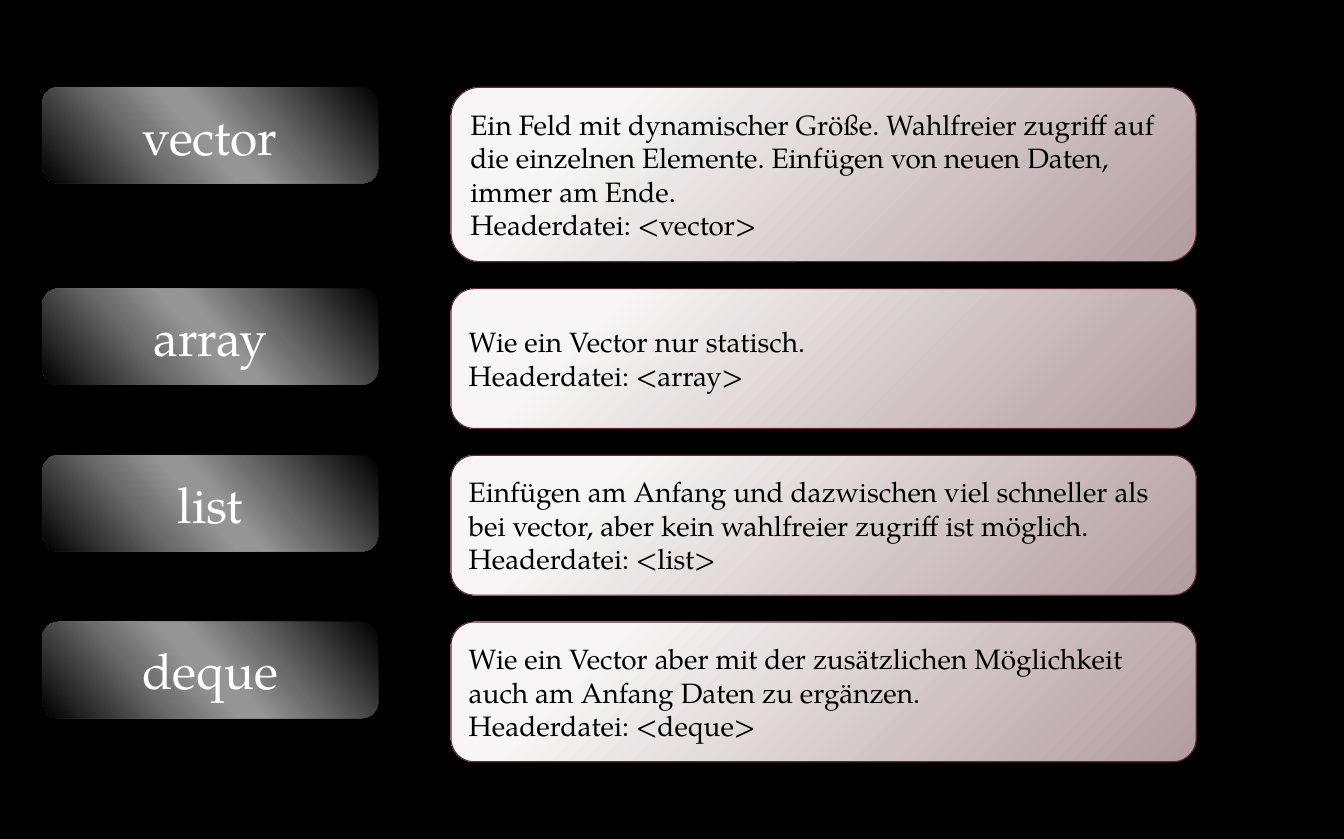
from dataclasses import dataclass

from pptx import Presentation
from pptx import util as u
from pptx.dml.color import RGBColor
from pptx.enum import shapes, text
from pptx.oxml import parse_xml
from pptx.oxml.ns import nsdecls

PX = 9144


@dataclass(frozen=True)
class Theme:
    """Colours, gradients and type sizes of the slide."""
    font: str = "TeX Gyre Pagella"
    background: str = "000000"
    name_color: str = "FFFFFF"
    name_size: int = 32
    name_stops: tuple = ((0, "000000"), (33, "6B6B6B"), (47, "959595"),
                         (53, "959595"), (68, "6C6C6C"), (100, "000000"))
    name_shade: str = '<a:lin ang="8340000" scaled="0"/>'
    card_color: str = "000000"
    card_size: int = 18
    card_stops: tuple = ((20, "F7F5F5"), (100, "B29CA0"))
    card_shade: str = ('<a:path path="circle"><a:fillToRect l="-15000" t="-15000" '
                       'r="115000" b="115000"/></a:path>')
    card_line: str = "5D2934"


THEME = Theme()

CONTAINERS = [
    ("vector", 156, "Ein Feld mit dynamischer Größe. Wahlfreier zugriff auf die einzelnen "
                    "Elemente. Einfügen von neuen Daten, immer am Ende."),
    ("array", 125, "Wie ein Vector nur statisch."),
    ("list", 125, "Einfügen am Anfang und dazwischen viel schneller als bei vector, "
                  "aber kein wahlfreier zugriff ist möglich."),
    ("deque", 125, "Wie ein Vector aber mit der zusätzlichen Möglichkeit auch am Anfang "
                   "Daten zu ergänzen."),
]


def add_panel(slide, box, stops, shade):
    """Add a rounded panel with a gradient fill and no outline."""
    shape = slide.shapes.add_shape(shapes.MSO_SHAPE.ROUNDED_RECTANGLE,
                                   *(length * PX for length in box))
    shape.shadow.inherit = False
    stop_list = "".join(f'<a:gs pos="{position * 1000}"><a:srgbClr val="{color}"/></a:gs>'
                        for position, color in stops)
    gradient = parse_xml(f'<a:gradFill {nsdecls("a")} rotWithShape="1">'
                         f'<a:gsLst>{stop_list}</a:gsLst>{shade}</a:gradFill>')
    shape.element.spPr.insert(2, gradient)
    shape.line.fill.background()
    return shape


def write_lines(shape, lines, size, color, alignment):
    """Write one paragraph per line, vertically centred in the shape."""
    frame = shape.text_frame
    frame.word_wrap = True
    frame.vertical_anchor = text.MSO_ANCHOR.MIDDLE
    for index, line in enumerate(lines):
        paragraph = frame.add_paragraph() if index else frame.paragraphs[0]
        paragraph.alignment = alignment
        run = paragraph.add_run()
        run.text = line
        run.font.name = THEME.font
        run.font.size = u.Pt(size)
        run.font.color.rgb = RGBColor.from_string(color)


def add_name(slide, box, name):
    """Add the dark label with the container name."""
    shape = add_panel(slide, box, THEME.name_stops, THEME.name_shade)
    write_lines(shape, [name], THEME.name_size, THEME.name_color, text.PP_ALIGN.CENTER)


def add_description(slide, box, lines):
    """Add the light card that describes a container."""
    shape = add_panel(slide, box, THEME.card_stops, THEME.card_shade)
    shape.line.color.rgb = RGBColor.from_string(THEME.card_line)
    shape.line.width = u.Pt(0.75)
    write_lines(shape, lines, THEME.card_size, THEME.card_color, text.PP_ALIGN.LEFT)


def add_container_rows(slide, box):
    """Stack a label and a card for each container within the box."""
    left, top, width, _ = box
    name_width, name_height, card_offset, gap = 300, 86, 365, 24
    for name, height, description in CONTAINERS:
        add_name(slide, (left, top, name_width, name_height), name)
        add_description(slide, (left + card_offset, top, width - card_offset, height),
                        [description, f"Headerdatei: <{name}>"])
        top += height + gap


def main():
    """Build the slide and save it."""
    presentation = Presentation()
    presentation.slide_width = 1201 * PX
    presentation.slide_height = 750 * PX
    slide = presentation.slides.add_slide(presentation.slide_layouts[6])
    fill = slide.background.fill
    fill.solid()
    fill.fore_color.rgb = RGBColor.from_string(THEME.background)
    add_container_rows(slide, (38, 78, 1031, 603))
    presentation.save("out.pptx")


if __name__ == "__main__":
    main()
